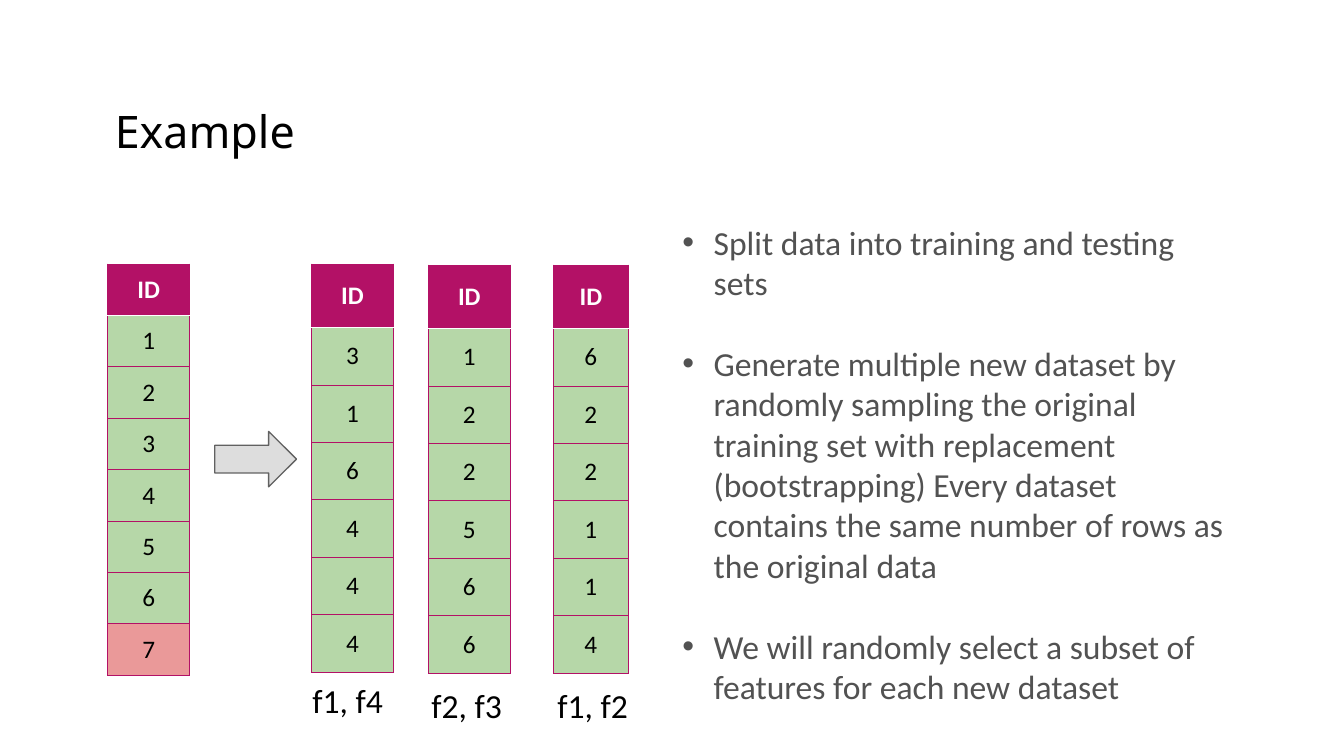
"""Build a slide on random sampling of rows and features."""
from dataclasses import dataclass

from lxml.etree import SubElement
from pptx import Presentation
from pptx.dml.color import RGBColor
from pptx.enum.shapes import MSO_SHAPE
from pptx.enum.text import MSO_ANCHOR, PP_ALIGN
from pptx.oxml.ns import qn
from pptx.slide import Slide
from pptx.table import _Cell
from pptx.text.text import TextFrame
from pptx.util import Inches, Pt

PINK, GREEN, RED, WHITE, BLACK = "B31166", "B6D7A8", "EA9999", "FFFFFF", "000000"


@dataclass
class Grid:
    left: float
    top: float
    width: float
    head: float
    row: float
    ids: str
    test: str = ""


@dataclass
class Label:
    text: str
    left: float
    top: float


GRIDS = [
    Grid(1.07, 2.62, 0.81, 0.51, 0.51, "1234567", test="7"),
    Grid(3.09, 2.62, 0.81, 0.63, 0.57, "316444"),
    Grid(4.25, 2.63, 0.81, 0.63, 0.57, "122566"),
    Grid(5.49, 2.63, 0.74, 0.63, 0.57, "622114"),
]
LABELS = [
    Label("f1, f4", 3, 6.7),
    Label("f2, f3", 4.18, 6.75),
    Label("f1, f2", 5.43, 6.75),
]
POINTS = [
    "Split data into training and testing sets",
    "Generate multiple new dataset by randomly sampling the original training set "
    "with replacement (bootstrapping) Every dataset contains the same number of rows "
    "as the original data",
    "We will randomly select a subset of features for each new dataset",
]


def color(code: str) -> RGBColor:
    return RGBColor.from_string(code)


def write(frame: TextFrame, *lines: str, size: float = 24, font: str = "Calibri",
          ink: str = BLACK, bold: bool = False, align: PP_ALIGN = PP_ALIGN.LEFT,
          pitch: float | None = None, gap: float = 0, bullet: bool = False) -> None:
    for i, line in enumerate(lines):
        para = frame.add_paragraph() if i else frame.paragraphs[0]
        para.alignment = align
        if pitch:
            para.line_spacing = Pt(pitch)
        if i and gap:
            para.space_before = Pt(gap)
        if bullet:
            props = para._p.get_or_add_pPr()
            props.set("marL", str(Inches(0.31)))
            props.set("indent", str(-Inches(0.31)))
            SubElement(props, qn("a:buFont")).set("typeface", "Arial")
            SubElement(props, qn("a:buChar")).set("char", "•")
        run = para.add_run()
        run.text = line
        run.font.size = Pt(size)
        run.font.name = font
        run.font.bold = bold
        run.font.color.rgb = color(ink)


def add_box(slide: Slide, left: float, top: float, width: float, height: float) -> TextFrame:
    frame = slide.shapes.add_textbox(
        Inches(left), Inches(top), Inches(width), Inches(height)).text_frame
    frame.word_wrap = True
    return frame


def edge(cell: _Cell, side: str, ink: str) -> None:
    line = SubElement(cell._tc.get_or_add_tcPr(), qn(f"a:ln{side}"), w=str(Pt(0.75)))
    SubElement(SubElement(line, qn("a:solidFill")), qn("a:srgbClr")).set("val", ink)


def add_grid(slide: Slide, grid: Grid) -> None:
    count = len(grid.ids)
    table = slide.shapes.add_table(
        count + 1, 1, Inches(grid.left), Inches(grid.top), Inches(grid.width),
        Inches(grid.head + count * grid.row)).table
    table.horz_banding = False
    for i, text in enumerate(["ID", *grid.ids]):
        head = i == 0
        table.rows[i].height = Inches(grid.head if head else grid.row)
        cell = table.cell(i, 0)
        cell.vertical_anchor = MSO_ANCHOR.MIDDLE
        cell.margin_left = cell.margin_right = Inches(0.1)
        cell.margin_top = cell.margin_bottom = Inches(0.1)
        for side in "LRTB":
            edge(cell, side, WHITE if (side, i) in (("B", 0), ("T", 1)) else PINK)
        cell.fill.solid()
        cell.fill.fore_color.rgb = color(PINK if head else RED if text == grid.test else GREEN)
        write(cell.text_frame, text, size=18, ink=WHITE if head else BLACK,
              bold=head, align=PP_ALIGN.CENTER)


def add_arrow(slide: Slide) -> None:
    arrow = slide.shapes.add_shape(
        MSO_SHAPE.RIGHT_ARROW, Inches(2.13), Inches(4.28), Inches(0.81), Inches(0.55))
    arrow.shadow.inherit = False
    arrow.fill.solid()
    arrow.fill.fore_color.rgb = color("DDDDDD")
    arrow.line.color.rgb = color("616161")
    arrow.line.width = Pt(1)


def main() -> None:
    deck = Presentation()
    deck.slide_width, deck.slide_height = Inches(13.33), Inches(7.5)
    slide = deck.slides.add_slide(deck.slide_layouts[6])
    title = add_box(slide, 1.04, 0.91, 10.36, 0.78)
    title.margin_top = Inches(0.12)
    write(title, "Example", size=32, font="Noto Sans", pitch=38.4)
    for grid in GRIDS:
        add_grid(slide, grid)
    add_arrow(slide)
    write(add_box(slide, 6.67, 2.15, 5.59, 5.35), *POINTS,
          ink="525252", gap=29, bullet=True)
    for label in LABELS:
        write(add_box(slide, label.left, label.top, 1.25, 0.5), label.text)
    deck.save("out.pptx")


if __name__ == "__main__":
    main()
